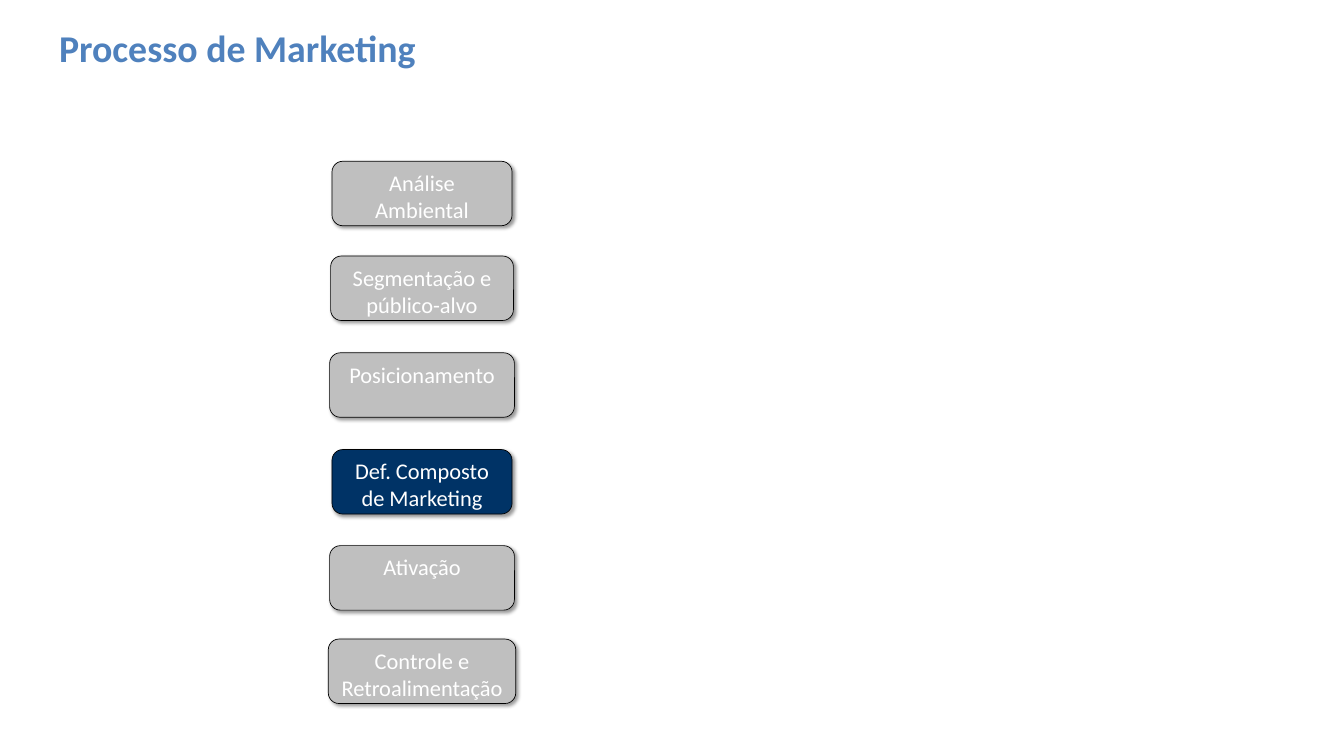
from lxml.etree import SubElement
from pptx import Presentation
from pptx.dml.color import RGBColor
from pptx.enum.shapes import MSO_SHAPE as Shape
from pptx.enum.text import MSO_ANCHOR as Anchor, PP_ALIGN as Align
from pptx.oxml.ns import qn
from pptx.util import Inches, Pt

COLORS = {"title": "4F81BD", "step": "BFBFBF", "current": "003366",
          "line": "000000", "shadow": "000000", "text": "FFFFFF"}
FONT = "Calibri"
STEP_CENTER, STEP_HEIGHT = 6.28, 0.96
# label, top, width, fill
STEPS = [
    ("Análise Ambiental", 2.4, 2.68, "step"),
    ("Segmentação e público-alvo", 3.81, 2.72, "step"),
    ("Posicionamento", 5.25, 2.75, "step"),
    ("Def. Composto de Marketing", 6.69, 2.68, "current"),
    ("Ativação", 8.12, 2.75, "step"),
    ("Controle e Retroalimentação", 9.51, 2.79, "step"),
]


def color(name):
    return RGBColor.from_string(COLORS[name])


def write(frame, text, size, tone, align, bold=False):
    frame.word_wrap = True
    frame.text = text
    para = frame.paragraphs[0]
    para.alignment = align
    font = para.runs[0].font
    font.name, font.size, font.bold = FONT, Pt(size), bold
    font.color.rgb = color(tone)


def add_shadow(shape):
    """Soft drop shadow towards the lower right."""
    shape.shadow.inherit = False
    effects = shape._element.spPr.find(qn("a:effectLst"))
    outer = SubElement(effects, qn("a:outerShdw"), blurRad=str(Pt(4)),
                       dist=str(Pt(3)), dir=str(45 * 60000), rotWithShape="0")
    tone = SubElement(outer, qn("a:srgbClr"), val=COLORS["shadow"])
    SubElement(tone, qn("a:alpha"), val="40000")


def add_title(page, left, top, width, height):
    box = page.shapes.add_textbox(*map(Inches, (left, top, width, height)))
    box.text_frame.vertical_anchor = Anchor.MIDDLE
    write(box.text_frame, "Processo de Marketing", 40.5, "title", Align.LEFT, True)


def add_step(page, label, left, top, width, height, fill):
    step = page.shapes.add_shape(
        Shape.ROUNDED_RECTANGLE, *map(Inches, (left, top, width, height)))
    step.fill.solid()
    step.fill.fore_color.rgb = color(fill)
    step.line.color.rgb = color("line")
    step.line.width = Pt(0.75)
    add_shadow(step)
    frame = step.text_frame
    frame.vertical_anchor = Anchor.TOP
    frame.margin_left = frame.margin_right = Inches(0.15)
    frame.margin_top = frame.margin_bottom = Inches(0.07)
    write(frame, label, 24, "text", Align.CENTER)


def add_process(page, center, height):
    """Column of steps sharing one vertical axis."""
    for label, top, width, fill in STEPS:
        add_step(page, label, center - width / 2, top, width, height, fill)


def main():
    deck = Presentation()
    deck.slide_width, deck.slide_height = Inches(20), Inches(11.25)
    page = deck.slides.add_slide(deck.slide_layouts[6])
    add_process(page, STEP_CENTER, STEP_HEIGHT)
    add_title(page, 0.78, 0.35, 13.65, 0.71)
    deck.save("out.pptx")


if __name__ == "__main__":
    main()
